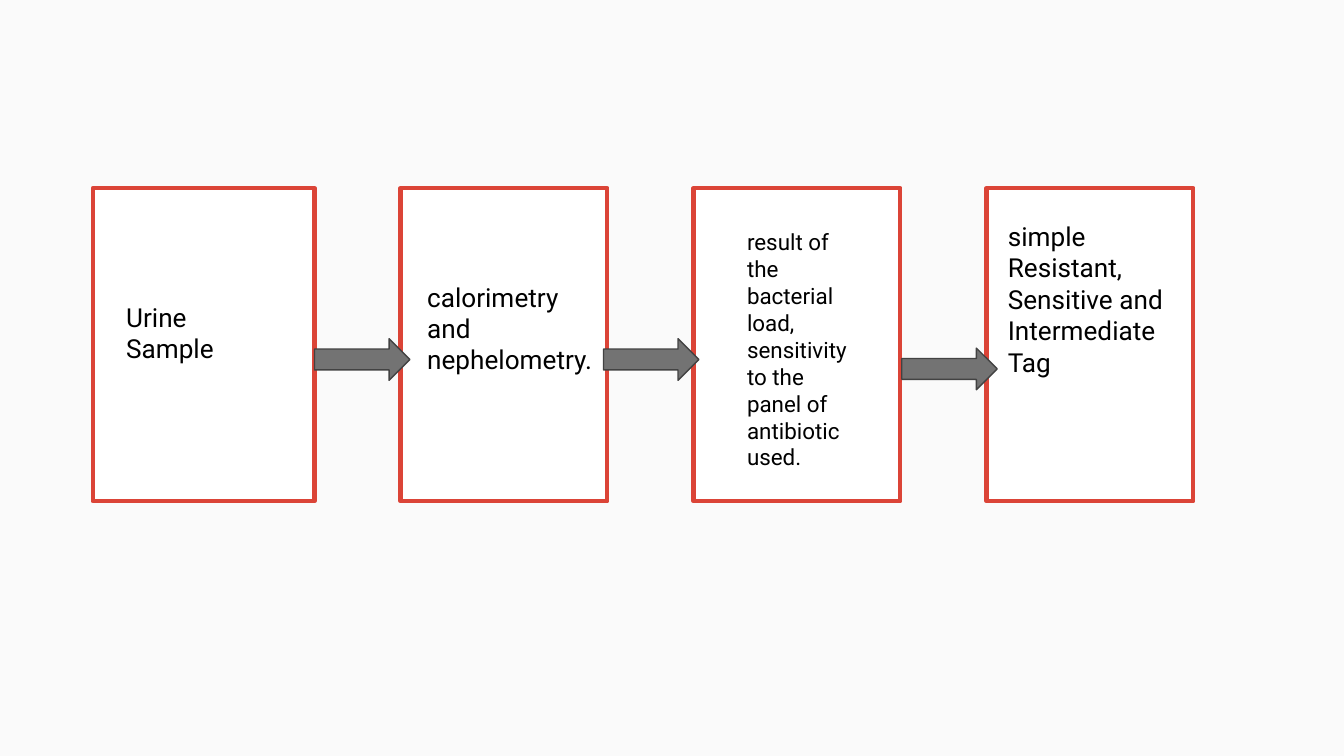
"""Build a slide showing the four steps of a urine sample test."""
from dataclasses import dataclass

from pptx import Presentation
from pptx.dml.color import RGBColor
from pptx.enum.shapes import MSO_SHAPE
from pptx.enum.text import MSO_ANCHOR, MSO_AUTO_SIZE
from pptx.slide import Slide
from pptx.util import Inches, Pt

RECTANGLE = MSO_SHAPE.RECTANGLE
RIGHT_ARROW = MSO_SHAPE.RIGHT_ARROW
TOP = MSO_ANCHOR.TOP
FIT_SHAPE = MSO_AUTO_SIZE.SHAPE_TO_FIT_TEXT

BACKGROUND = RGBColor(0xFA, 0xFA, 0xFA)
WHITE = RGBColor(0xFF, 0xFF, 0xFF)
RED = RGBColor(0xDB, 0x44, 0x37)
BLACK = RGBColor(0x00, 0x00, 0x00)
GREY = RGBColor(0x73, 0x73, 0x73)
DARK_GREY = RGBColor(0x42, 0x42, 0x42)

FONT = "Roboto"
INSET = Inches(0.1)


@dataclass(frozen=True)
class Box:
    left: float
    top: float
    width: float
    height: float


@dataclass(frozen=True)
class Label:
    box: Box
    text: str
    size: int = 14


CARDS = [Box(0.69, 1.4, 1.65, 2.33)] + [
    Box(2.98 + 2.18 * index, 1.4, 1.54, 2.33) for index in range(3)
]
LABELS = [
    Label(Box(0.84, 2.14, 1.34, 0.67), "Urine Sample"),
    Label(Box(3.08, 1.99, 1.54, 0.91), "calorimetry and nephelometry."),
    Label(
        Box(5.46, 1.6, 0.95, 2.42),
        "result of the bacterial load,\nsensitivity to the panel of antibiotic used.",
        12,
    ),
    Label(Box(7.4, 1.54, 1.42, 1.62), "simple Resistant, Sensitive and Intermediate Tag"),
]
ARROWS = [
    Box(left, top, 0.71, 0.31)
    for left, top in ((4.49, 2.52), (2.34, 2.52), (6.71, 2.59))
]


def lengths(box: Box) -> list[Inches]:
    """Return the position and size of a box as lengths."""
    return [Inches(value) for value in (box.left, box.top, box.width, box.height)]


def add_block(
    slide: Slide, kind: MSO_SHAPE, box: Box, fill: RGBColor, line: RGBColor, weight: float
) -> None:
    """Draw a filled and outlined preset shape."""
    shape = slide.shapes.add_shape(kind, *lengths(box))
    shape.shadow.inherit = False
    shape.fill.solid()
    shape.fill.fore_color.rgb = fill
    shape.line.color.rgb = line
    shape.line.width = Pt(weight)


def add_label(slide: Slide, label: Label) -> None:
    """Write the text of one step."""
    text_frame = slide.shapes.add_textbox(*lengths(label.box)).text_frame
    text_frame.word_wrap = True
    text_frame.auto_size = FIT_SHAPE
    text_frame.vertical_anchor = TOP
    text_frame.margin_left = text_frame.margin_right = INSET
    text_frame.margin_top = text_frame.margin_bottom = INSET
    text_frame.text = label.text
    for paragraph in text_frame.paragraphs:
        for run in paragraph.runs:
            run.font.name = FONT
            run.font.size = Pt(label.size)
            run.font.color.rgb = BLACK


def main() -> None:
    """Build and save the presentation."""
    presentation = Presentation()
    presentation.slide_width = Inches(10)
    presentation.slide_height = Inches(10 * 9 / 16)
    slide = presentation.slides.add_slide(presentation.slide_layouts[6])
    slide.background.fill.solid()
    slide.background.fill.fore_color.rgb = BACKGROUND

    for card in CARDS:
        add_block(slide, RECTANGLE, card, WHITE, RED, 2.25)
    for label in LABELS:
        add_label(slide, label)
    for arrow in ARROWS:
        add_block(slide, RIGHT_ARROW, arrow, GREY, DARK_GREY, 0.75)

    presentation.save("out.pptx")


if __name__ == "__main__":
    main()
